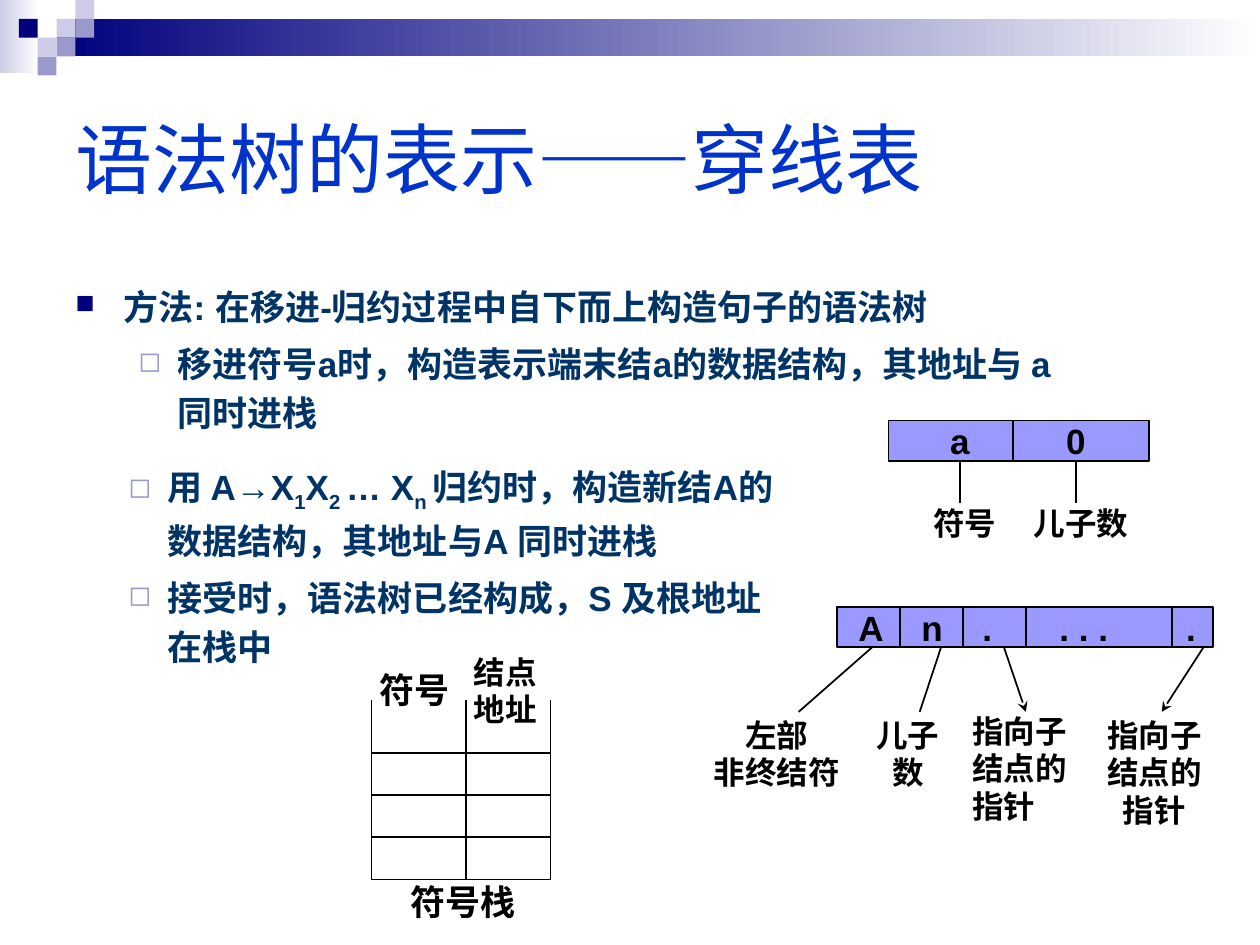
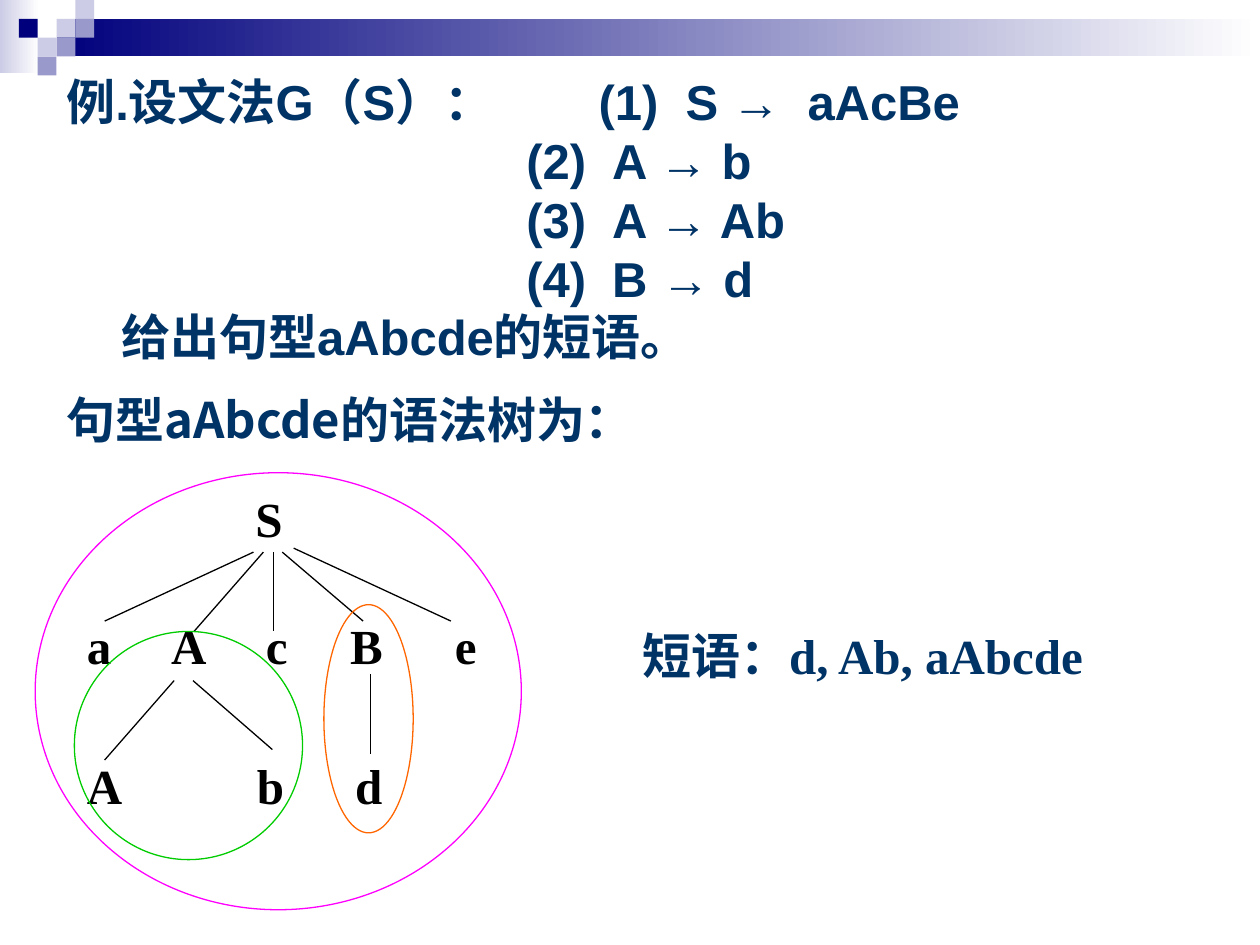
"""Build two slides on syntax trees: the threaded list and the phrases of a sentential form."""
from dataclasses import dataclass

from lxml import etree
from pptx import Presentation
from pptx.dml.color import RGBColor
from pptx.enum.shapes import MSO_CONNECTOR, MSO_SHAPE
from pptx.enum.text import MSO_ANCHOR, PP_ALIGN
from pptx.oxml.ns import qn
from pptx.util import Cm, Pt

RECT, OVAL, STRAIGHT = MSO_SHAPE.RECTANGLE, MSO_SHAPE.OVAL, MSO_CONNECTOR.STRAIGHT
LEFT, CENTER = PP_ALIGN.LEFT, PP_ALIGN.CENTER
TOP, MIDDLE = MSO_ANCHOR.TOP, MSO_ANCHOR.MIDDLE


@dataclass(frozen=True)
class Theme:
    navy: str = "00007D"
    lilac: str = "9999CC"
    pale: str = "CCCCE6"
    white: str = "FFFFFF"
    black: str = "000000"
    title: str = "0033CC"
    body: str = "003366"
    cell: str = "9999FF"
    green: str = "00CC00"
    orange: str = "FF6600"
    magenta: str = "FF00FF"
    sans: str = "Arial"
    serif: str = "Times New Roman"
    cjk: str = "Noto Sans CJK SC"
    title_pt: int = 44
    large_pt: int = 28
    body_pt: int = 20
    label_pt: int = 18


T = Theme()
rgb = RGBColor.from_string


def text(s, box, paras, size, color=T.black, font=T.sans, align=LEFT, bold=True, anchor=TOP):
    tf = s.shapes.add_textbox(*map(Cm, box)).text_frame
    tf.word_wrap = True
    tf.vertical_anchor = anchor
    for i, runs in enumerate(paras):
        p = tf.paragraphs[0] if i == 0 else tf.add_paragraph()
        p.alignment = align
        for run in [(runs, 0)] if isinstance(runs, str) else runs:
            r = p.add_run()
            r.text, baseline = run
            r.font.size, r.font.bold, r.font.name = Pt(size), bold, font
            r.font.color.rgb = rgb(color)
            rPr = r.font._element
            etree.SubElement(rPr, qn("a:ea")).set("typeface", T.cjk)
            if baseline:
                rPr.set("baseline", str(baseline * 1000))
    return tf


def line(s, x1, y1, x2, y2, width=1, arrow=False):
    sp = s.shapes.add_connector(STRAIGHT, Cm(x1), Cm(y1), Cm(x2), Cm(y2))
    sp.line.color.rgb = rgb(T.black)
    sp.line.width = Pt(width)
    if arrow:
        etree.SubElement(sp.line._get_or_add_ln(), qn("a:tailEnd")).set("type", "stealth")
    etree.SubElement(sp._element.spPr, qn("a:effectLst"))


prs = Presentation()
prs.slide_width, prs.slide_height = Cm(25.4), Cm(19.05)
list_slide, phrase_slide = [prs.slides.add_slide(prs.slide_layouts[6]) for _ in range(2)]

SQ = 0.38
BANDS = [
    (0, 0, 0.79, 1.47, T.pale, True),
    (3 * SQ, SQ, 24.26, 2 * SQ, T.navy, True),
    (3 * SQ, SQ, SQ, SQ, T.pale, False),
    (4 * SQ, 0, SQ, SQ, T.pale, False),
    (4 * SQ, SQ, SQ, SQ, T.lilac, False),
    (2 * SQ, 2 * SQ, SQ, SQ, T.pale, False),
    (SQ, SQ, SQ, SQ, T.navy, False),
    (3 * SQ, 2 * SQ, SQ, SQ, T.lilac, False),
    (2 * SQ, 3 * SQ, SQ, SQ, T.lilac, False),
]
for s in (list_slide, phrase_slide):
    for *box, color, fades in BANDS:
        sp = s.shapes.add_shape(RECT, *map(Cm, box))
        sp.shadow.inherit = False
        sp.line.fill.background()
        if fades:
            sp.fill.gradient()
            sp.fill.gradient_angle = 0
            for stop, shade in zip(sp.fill.gradient_stops, (color, T.white)):
                stop.color.rgb = rgb(shade)
        else:
            sp.fill.solid()
            sp.fill.fore_color.rgb = rgb(color)

s = list_slide
text(s, (1.27, 1.27, 22.86, 3.81), ["语法树的表示——穿线表"], T.title_pt, T.title,
     bold=False, anchor=MIDDLE)

BULLETS = [(0.97, -0.97, "■", T.navy, 75), (2.06, -0.79, "◻", T.lilac, 80)]
REDUCE = [("用 A→X", 0), ("1", -25), ("X", 0), ("2 ", -25), ("… X", 0), ("n ", -25),
          ("归约时，构造新结A的数据结构，其地址与A 同时进栈", 0)]
METHOD = [
    ((1.27, 5.51, 20.42, 4.22), (0, 1),
     ["方法: 在移进-归约过程中自下而上构造句子的语法树",
      "移进符号a时，构造表示端末结a的数据结构，其地址与 a 同时进栈"]),
    ((1.07, 9.12, 14.83, 5), (1, 1),
     [REDUCE, "接受时，语法树已经构成，S 及根地址在栈中"]),
]
for box, levels, paras in METHOD:
    tf = text(s, box, paras, T.body_pt, T.body)
    for i, (p, level) in enumerate(zip(tf.paragraphs, levels)):
        margin, indent, char, color, percent = BULLETS[level]
        p.level = level
        p.line_spacing = 1.15
        p.space_before = Pt(5 if i else 0)
        pPr = p._p.get_or_add_pPr()
        pPr.set("marL", str(Cm(margin)))
        pPr.set("indent", str(Cm(indent)))
        buClr = etree.SubElement(pPr, qn("a:buClr"))
        etree.SubElement(buClr, qn("a:srgbClr")).set("val", color)
        etree.SubElement(pPr, qn("a:buSzPct")).set("val", str(percent * 1000))
        etree.SubElement(pPr, qn("a:buChar")).set("char", char)

BAR_H = 0.81
RECORDS = [
    (17.91, 8.48, 5.26, [20.42], [("a", 19.35), ("0", 21.69)]),
    (16.87, 12.24, 7.59, [18.14, 19.41, 20.68, 23.62],
     [("A", 17.56), ("n", 18.79), (".", 19.9), (". . .", 21.85), (".", 24.01)]),
]
for left, top, width, dividers, fields in RECORDS:
    sp = s.shapes.add_shape(RECT, Cm(left), Cm(top), Cm(width), Cm(BAR_H))
    sp.shadow.inherit = False
    sp.fill.solid()
    sp.fill.fore_color.rgb = rgb(T.cell)
    sp.line.color.rgb = rgb(T.black)
    sp.line.width = Pt(1)
    for x in dividers:
        line(s, x, top, x, top + BAR_H)
    for field, x in fields:
        text(s, (x - 1, top - 0.14, 2, 1.09), [field], T.body_pt, align=CENTER)

for label, x in (("符号", 19.35), ("儿子数", 21.69)):
    line(s, x, 10.13, x, 9.29)
    text(s, (x - 1.4, 10.03, 3, 1), [label], T.label_pt, align=CENTER)

POINTER_LABELS = [
    ((16.1, 14.35, 17.58, 13.05), False, (13.79, 14.3, 3.73, 1.78), CENTER, ["左部", "非终结符"]),
    ((18.54, 14.35, 18.97, 13.05), False, (16.99, 14.3, 2.62, 1.78), CENTER, ["儿子", "数"]),
    ((20.24, 13.05, 20.68, 14.35), True, (19.35, 14.22, 3.25, 2.54), LEFT,
     ["指向子", "结点的", "指针"]),
    ((24.26, 13.05, 23.42, 14.35), True, (21.62, 14.3, 3.3, 2.54), CENTER,
     ["指向子", "结点的", "指针"]),
]
for ends, arrow, box, align, label in POINTER_LABELS:
    line(s, *ends, arrow=arrow)
    text(s, box, label, T.label_pt, align=align)

STACK_L, STACK_MID, STACK_R, STACK_T, STACK_B = 7.49, 9.4, 11.1, 14.12, 17.73
fb = s.shapes.build_freeform(Cm(STACK_L), Cm(STACK_T))
fb.add_line_segments([(Cm(STACK_L), Cm(STACK_B)), (Cm(STACK_R), Cm(STACK_B))], close=False)
sp = fb.convert_to_shape()
sp.shadow.inherit = False
sp.fill.background()
sp.line.color.rgb = rgb(T.black)
sp.line.width = Pt(1)
for x in (STACK_MID, STACK_R):
    line(s, x, STACK_B, x, STACK_T)
for row in range(1, 4):
    y = STACK_B - 0.85 * row
    line(s, STACK_L, y, STACK_R, y)
text(s, (7.7, 17.63, 3.28, 1.09), ["符号栈"], T.body_pt, font=T.cjk, align=CENTER)
text(s, (6.99, 13.36, 2.72, 1.09), ["符号"], T.body_pt, font=T.cjk, align=CENTER)
text(s, (9.3, 13.03, 3, 1.78), ["结点", "地址"], T.label_pt, font=T.cjk)

s = phrase_slide
GRAMMAR = [
    ("例.设文法G（S）：\t(1)\tS →\taAcBe", (10.73, 12.48, 14.94)),
    ("\t(2)\tA → b", (9.27, 11)),
    ("\t(3)\tA → Ab", (9.27, 11)),
    ("\t(4)\tB → d", (9.27, 11)),
    ("\t给出句型aAbcde的短语。", (1.11,)),
]
tf = text(s, (1.09, 1.32, 21.79, 6.2), [rule for rule, _ in GRAMMAR], T.large_pt, T.body)
for p, (_, stops) in zip(tf.paragraphs, GRAMMAR):
    tabs = etree.SubElement(p._p.get_or_add_pPr(), qn("a:tabLst"))
    for stop in stops:
        tab = etree.SubElement(tabs, qn("a:tab"))
        tab.set("pos", str(Cm(stop)))
        tab.set("algn", "l")

TREE = [
    (9.73, [("S", 4.9)]),
    (12.29, [("a", 1.5), ("A", 3.2), ("c", 5.11), ("B", 6.81), ("e", 8.92)]),
    (15.11, [("A", 1.5), ("b", 4.93), ("d", 6.91)]),
]
for y, nodes in TREE:
    for node, x in nodes:
        text(s, (x, y, 1.5, 1.45), [node], T.large_pt, font=T.serif)

BRANCHES = [
    (5.11, 11.13, 2.11, 12.52), (5.31, 11.13, 3.91, 12.73), (5.51, 11.13, 5.51, 12.73),
    (5.69, 11.13, 7.32, 12.52), (5.92, 11.05, 9.09, 12.52),
    (3.51, 13.72, 2.11, 15.32), (3.89, 13.72, 5.49, 15.11), (7.47, 13.59, 7.47, 15.19),
]
for branch in BRANCHES:
    line(s, *branch, width=0.75)

PHRASES = [
    (1.5, 12.73, 4.6, 4.6, T.green),
    (6.53, 12.19, 1.8, 4.6, T.orange),
    (0.71, 9.53, 9.8, 8.81, T.magenta),
]
for *box, color in PHRASES:
    sp = s.shapes.add_shape(OVAL, *map(Cm, box))
    sp.shadow.inherit = False
    sp.fill.background()
    sp.line.color.rgb = rgb(color)
    sp.line.width = Pt(0.75)

text(s, (1.09, 7.72, 12.19, 1.45), ["句型aAbcde的语法树为："], T.large_pt, T.body, T.cjk)
tf = text(s, (12.7, 12.37, 10.8, 1.57), ["短语：d, Ab, aAbcde"], T.large_pt, T.body, T.serif)
tf.paragraphs[0].line_spacing = 1.1

prs.save("out.pptx")
